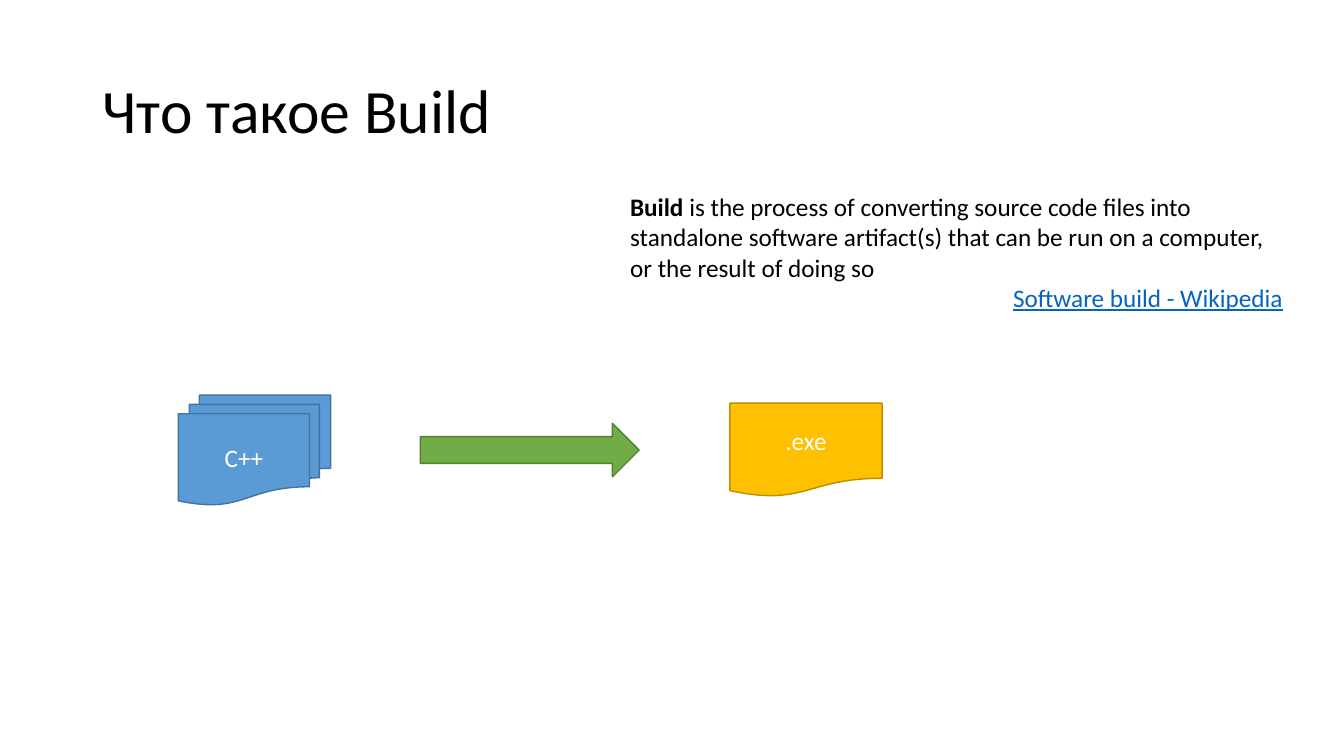
from pptx import Presentation
from pptx.dml.color import RGBColor
from pptx.enum.shapes import MSO_SHAPE
from pptx.enum.text import MSO_ANCHOR, PP_ALIGN
from pptx.util import Inches, Pt

WIDTH, HEIGHT = Inches(13.33), Inches(7.5)


def color(value):
    return RGBColor.from_string(value)


def place(left, top, width, height):
    return (int(WIDTH * left / 100), int(HEIGHT * top / 100),
            int(WIDTH * width / 100), int(HEIGHT * height / 100))


def add_run(p, text, size=18, fill="000000", bold=False, underline=False):
    r = p.add_run()
    r.text = text
    r.font.name = "Calibri"
    r.font.size = Pt(size)
    r.font.bold = bold
    r.font.underline = underline
    r.font.color.rgb = color(fill)


def add_text_box(s, box, anchor=MSO_ANCHOR.TOP):
    tf = s.shapes.add_textbox(*place(*box)).text_frame
    tf.word_wrap = True
    tf.vertical_anchor = anchor
    return tf


def add_block(s, kind, box, fill, line, label=None):
    sp = s.shapes.add_shape(kind, *place(*box))
    sp.shadow.inherit = False
    sp.fill.solid()
    sp.fill.fore_color.rgb = color(fill)
    sp.line.color.rgb = color(line)
    sp.line.width = Pt(1)
    if label:
        tf = sp.text_frame
        tf.vertical_anchor = MSO_ANCHOR.MIDDLE
        p = tf.paragraphs[0]
        p.alignment = PP_ALIGN.CENTER
        add_run(p, label, fill="FFFFFF")


def add_title(s):
    tf = add_text_box(s, (6.9, 5.33, 86.25, 19.33), MSO_ANCHOR.MIDDLE)
    p = tf.paragraphs[0]
    p.line_spacing = 0.9
    add_run(p, "Что такое Build", size=44)


def add_definition(s):
    tf = add_text_box(s, (46.14, 24.67, 50.04, 17.47))
    p = tf.paragraphs[0]
    add_run(p, "Build", bold=True)
    add_run(p, " is the process of converting source code files into standalone "
               "software artifact(s) that can be run on a computer, "
               "or the result of doing so")
    p = tf.add_paragraph()
    p.alignment = PP_ALIGN.RIGHT
    add_run(p, "Software build - Wikipedia", fill="0563C1", underline=True)


def main():
    prs = Presentation()
    prs.slide_width, prs.slide_height = WIDTH, HEIGHT
    s = prs.slides.add_slide(prs.slide_layouts[6])
    add_title(s)
    add_definition(s)
    add_block(s, MSO_SHAPE.FLOWCHART_MULTIDOCUMENT, (13.28, 52.27, 11.33, 14.53),
              "5B9BD5", "43739E", "C++")
    add_block(s, MSO_SHAPE.RIGHT_ARROW, (31.28, 56, 16.28, 7.07),
              "70AD47", "538035")
    add_block(s, MSO_SHAPE.FLOWCHART_DOCUMENT, (54.31, 53.33, 11.33, 12.4),
              "FFC000", "BD8E00", ".exe")
    prs.save("out.pptx")


if __name__ == "__main__":
    main()
